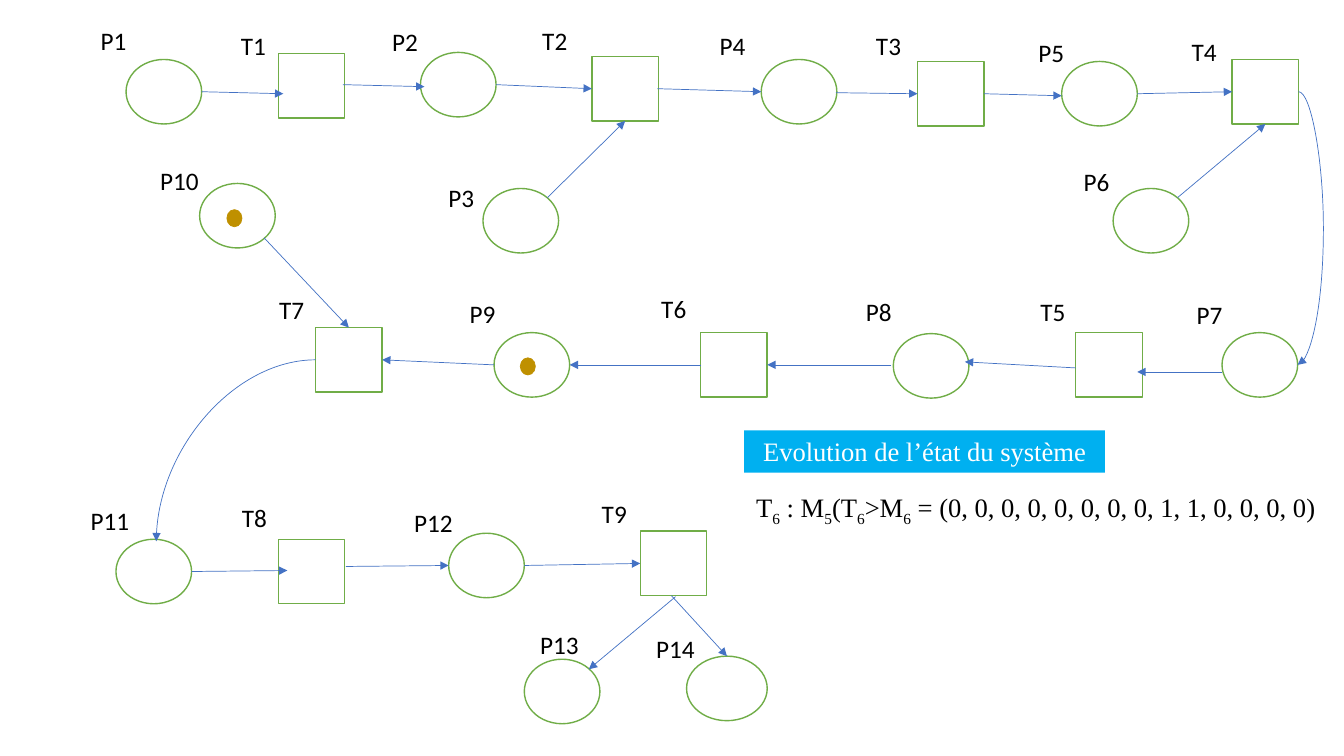
from dataclasses import dataclass

from lxml.etree import SubElement
from pptx import Presentation
from pptx.dml.color import RGBColor as Rgb
from pptx.enum.shapes import MSO_CONNECTOR as Link, MSO_SHAPE as Form
from pptx.enum.text import MSO_ANCHOR as Anchor, MSO_AUTO_SIZE as Fit, PP_ALIGN as Align
from pptx.oxml.ns import qn
from pptx.util import Emu, Pt

SCALE = 9144
COLORS = {
    "white": "FFFFFF",
    "black": "000000",
    "green": "70AD47",
    "blue": "4472C4",
    "gold": "BF9000",
    "cyan": "00B0F0",
}


@dataclass
class Node:
    name: str
    x: int
    y: int
    tag_x: int
    tag_y: int
    wide: int = 0
    tag_wide: int = 66


@dataclass
class Arc:
    x1: int
    y1: int
    x2: int
    y2: int


NODES = [
    Node("P1", 125, 59, 90, 20),
    Node("T1", 276, 53, 229, 25),
    Node("P2", 417, 52, 379, 21),
    Node("T2", 587, 56, 528, 20),
    Node("P3", 479, 187, 435, 176),
    Node("P4", 755, 59, 704, 25),
    Node("T3", 910, 61, 859, 25),
    Node("P5", 1053, 61, 1020, 32),
    Node("T4", 1222, 59, 1172, 31),
    Node("P6", 1104, 187, 1065, 160),
    Node("P7", 1212, 330, 1177, 292, tag_wide=56),
    Node("T5", 1067, 330, 1022, 289),
    Node("P8", 886, 331, 849, 289),
    Node("T6", 695, 330, 646, 286, tag_wide=49),
    Node("P9", 490, 330, 456, 291),
    Node("P10", 198, 182, 149, 159),
    Node("T7", 313, 325, 267, 287),
    Node("P11", 115, 535, 80, 496),
    Node("T8", 276, 535, 230, 493),
    Node("P12", 445, 529, 401, 498),
    Node("T9", 635, 527, 587, 489),
    Node("P13", 520, 654, 526, 619),
    Node("P14", 681, 651, 641, 623, wide=80),
]
ARCS = [
    Arc(200, 91, 281, 93),
    Arc(340, 84, 421, 86),
    Arc(492, 84, 587, 88),
    Arc(652, 88, 755, 91),
    Arc(829, 92, 910, 93),
    Arc(976, 93, 1053, 95),
    Arc(1128, 93, 1222, 91),
    Arc(543, 196, 620, 120),
    Arc(1168, 196, 1255, 123),
    Arc(1212, 369, 1128, 369),
    Arc(1067, 365, 957, 359),
    Arc(884, 362, 761, 362),
    Arc(695, 362, 565, 362),
    Arc(490, 362, 379, 357),
    Arc(262, 236, 346, 325),
    Arc(190, 567, 285, 566),
    Arc(343, 562, 445, 561),
    Arc(520, 561, 635, 559),
    Arc(670, 592, 584, 664),
    Arc(666, 591, 721, 651),
]
TOKENS = [(516, 355), (225, 208)]
STATE = [
    ("T", False), ("6", True), (" : M", False), ("5", True), ("(T", False),
    ("6", True), (">M", False), ("6", True),
    (" = (0, 0, 0, 0, 0, 0, 0, 0, 1, 1, 0, 0, 0, 0)", False),
]


def px(size: int) -> Emu:
    return Emu(size * SCALE)


def paint(name: str) -> Rgb:
    return Rgb.from_string(COLORS[name])


def style(run, size: int, face: str, color: str) -> None:
    run.font.size = Pt(size)
    run.font.name = face
    run.font.color.rgb = paint(color)


def shape(form, x: int, y: int, wide: int, high: int, fill: str, edge: str = "", weight: float = 1):
    item = slide.shapes.add_shape(form, px(x), px(y), px(wide), px(high))
    item.shadow.inherit = False
    item.fill.solid()
    item.fill.fore_color.rgb = paint(fill)
    if edge:
        item.line.color.rgb = paint(edge)
        item.line.width = Pt(weight)
    else:
        item.line.fill.background()
    return item


def label(x: int, y: int, wide: int, high: int, text: str = ""):
    frame = slide.shapes.add_textbox(px(x), px(y), px(wide), px(high)).text_frame
    frame.word_wrap = True
    frame.auto_size = Fit.SHAPE_TO_FIT_TEXT
    frame.text = text
    for run in frame.paragraphs[0].runs:
        style(run, 18, "Calibri", "black")
    return frame


def place(node: Node) -> None:
    form, wide = (Form.OVAL, 75) if node.name.startswith("P") else (Form.RECTANGLE, 66)
    shape(form, node.x, node.y, node.wide or wide, 64, "white", "green")
    label(node.tag_x, node.tag_y, node.tag_wide, 40, node.name)


def arrow(arc: Arc, kind=Link.STRAIGHT):
    line = slide.shapes.add_connector(kind, px(arc.x1), px(arc.y1), px(arc.x2), px(arc.y2))
    line.line.color.rgb = paint("blue")
    line.line.width = Pt(0.5)
    SubElement(line.line._get_or_add_ln(), qn("a:tailEnd"), type="triangle")
    SubElement(line._element.spPr, qn("a:effectLst"))
    return line._element.spPr


deck = Presentation()
deck.slide_width, deck.slide_height = px(1333), px(750)
slide = deck.slides.add_slide(deck.slide_layouts[6])

for node in NODES:
    place(node)
for arc in ARCS:
    arrow(arc)

bend = arrow(Arc(1288, 91, 1287, 362), Link.CURVE).find(qn("a:prstGeom"))
guides = bend.find(qn("a:avLst"))
if guides is None:
    guides = SubElement(bend, qn("a:avLst"))
SubElement(guides, qn("a:gd"), name="adj1", fmla="val -2500000")

sweep = arrow(Arc(313, 357, 155, 537), Link.CURVE)
sweep.find(qn("a:prstGeom")).set("prst", "curvedConnector2")
turn = sweep.find(qn("a:xfrm"))
turn.attrib.pop("flipH")
turn.set("rot", "10800000")
turn.set("flipV", "1")

for x, y in TOKENS:
    shape(Form.OVAL, x, y, 15, 17, "gold", "gold", 0.5)

line = label(740, 482, 605, 74).paragraphs[0]
for text, low in STATE:
    run = line.add_run()
    run.text = text
    style(run, 19, "Times New Roman", "black")
    if low:
        run.font._element.set("baseline", "-25000")

title = shape(Form.RECTANGLE, 738, 427, 358, 42, "cyan").text_frame
title.word_wrap = True
title.auto_size = Fit.SHAPE_TO_FIT_TEXT
title.vertical_anchor = Anchor.TOP
title.text = "Evolution de l’état du système"
title.paragraphs[0].alignment = Align.CENTER
style(title.paragraphs[0].runs[0], 19, "Times New Roman", "white")

deck.save("out.pptx")
